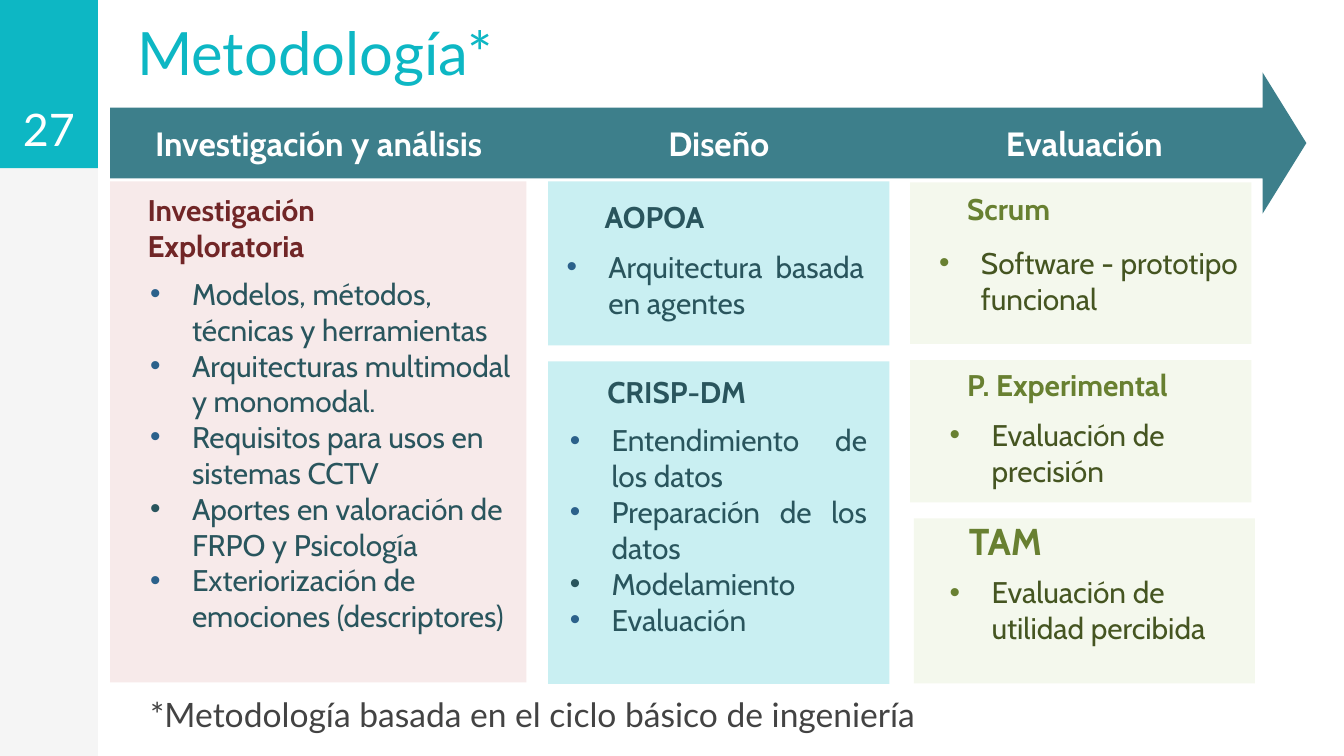
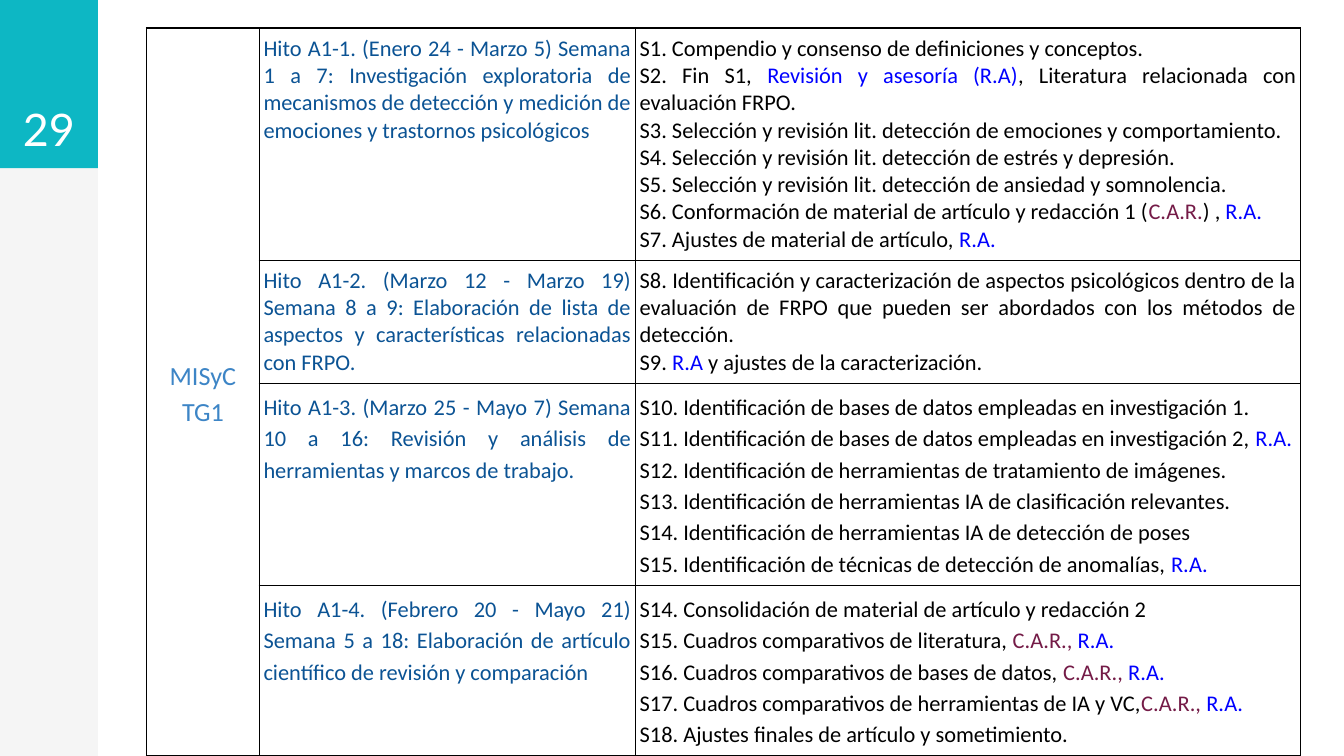
from dataclasses import dataclass

from lxml.etree import SubElement
from pptx import Presentation
from pptx.dml.color import RGBColor
from pptx.enum.shapes import MSO_SHAPE as Preset
from pptx.enum.text import MSO_ANCHOR as Anchor, MSO_AUTO_SIZE as AutoSize, PP_ALIGN as Align
from pptx.oxml.ns import qn
from pptx.util import Cm, Pt


@dataclass(frozen=True)
class Theme:
    """Colours, fonts and type sizes of the presentation."""
    teal: str = "0DB7C4"
    arrow: str = "3D7F8B"
    white: str = "FFFFFF"
    black: str = "000000"
    note: str = "434343"
    group: str = "3D85C6"
    milestone: str = "0B5394"
    review: str = "0000FF"
    author: str = "741B47"
    title_font: str = "Lato"
    card_font: str = "Cabin"
    table_font: str = "Calibri"
    title_size: int = 32
    number_size: int = 24
    tam_size: int = 20
    stage_size: int = 18
    card_size: int = 16
    group_size: int = 14
    table_size: int = 12
    tint: int = 22
    side_tint: int = 4


@dataclass(frozen=True)
class Palette:
    """Colours of one stage of the method."""
    fill: str
    heading: str
    body: str
    bullet: str


THEME = Theme()
RESEARCH = Palette("DFA2A2", "712627", "29555D", "2B618B")
DESIGN = Palette(THEME.teal, "29555D", "29555D", "2B618B")
EVALUATION = Palette("D1E0AF", "688031", "455521", "688031")

REVIEW = ("R.A.", THEME.review)
AUTHOR = ("C.A.R., ", THEME.author)

MILESTONES = [
    (4.38, 1, "Hito A1-1. (Enero 24 - Marzo 5) Semana 1 a 7: Investigación exploratoria de "
     "mecanismos de detección y medición de emociones y trastornos psicológicos", [
         "S1. Compendio y consenso de definiciones y conceptos.",
         ["S2. Fin S1, ", ("Revisión y asesoría (R.A)", THEME.review),
          ", Literatura relacionada con evaluación FRPO."],
         "S3. Selección y revisión lit. detección de emociones y comportamiento.",
         "S4. Selección y revisión lit. detección de estrés y depresión.",
         "S5. Selección y revisión lit. detección de ansiedad y somnolencia.",
         ["S6. Conformación de material de artículo y redacción 1 (",
          ("C.A.R.", THEME.author), ") , ", REVIEW],
         ["S7. Ajustes de material de artículo, ", REVIEW]]),
    (2.32, 1, "Hito A1-2. (Marzo 12 - Marzo 19) Semana 8 a 9: Elaboración de lista de "
     "aspectos y características relacionadas con FRPO.", [
         "S8. Identificación y caracterización de aspectos psicológicos dentro de la "
         "evaluación de FRPO que pueden ser abordados con los métodos de detección.",
         ["S9.", (" R.A", THEME.review), " y ajustes de la caracterización."]]),
    (3.81, 1.15, "Hito A1-3. (Marzo 25 - Mayo 7) Semana 10 a 16: Revisión y análisis de "
     "herramientas y marcos de trabajo.", [
         "S10. Identificación de bases de datos empleadas en investigación 1.",
         ["S11. Identificación de bases de datos empleadas en investigación 2, ", REVIEW],
         "S12. Identificación de herramientas de tratamiento de imágenes.",
         "S13. Identificación de herramientas IA de clasificación relevantes.",
         "S14. Identificación de herramientas IA de detección de poses",
         ["S15. Identificación de técnicas de detección de anomalías, ", REVIEW]]),
    (3.2, 1.15, "Hito A1-4. (Febrero 20 - Mayo 21) Semana 5 a 18: Elaboración de artículo "
     "científico de revisión y comparación", [
         "S14. Consolidación de material de artículo y redacción 2",
         ["S15. Cuadros comparativos de literatura, ", AUTHOR, REVIEW],
         ["S16. Cuadros comparativos de bases de datos, ", AUTHOR, REVIEW],
         ["S17. Cuadros comparativos de herramientas de IA y VC,", AUTHOR, REVIEW],
         "S18. Ajustes finales de artículo y sometimiento."]),
]


def add_bullet(paragraph, color):
    """Give a paragraph a hanging bullet of the given colour."""
    properties = paragraph._p.get_or_add_pPr()
    properties.set("marL", str(Cm(0.79)))
    properties.set("indent", str(-Cm(0.79)))
    bullet_color = SubElement(properties, qn("a:buClr"))
    SubElement(bullet_color, qn("a:srgbClr")).set("val", color)
    SubElement(properties, qn("a:buFont")).set("typeface", "Arial")
    SubElement(properties, qn("a:buChar")).set("char", "•")


def write_text(frame, lines, *, font, size, color, bold=False, align=Align.LEFT,
               spacing=None, bullets=None):
    """Fill a text frame with lines, each a string or a list of runs."""
    for index, line in enumerate(lines):
        paragraph = frame.paragraphs[0] if index == 0 else frame.add_paragraph()
        if bullets:
            add_bullet(paragraph, bullets[index])
        paragraph.alignment = align
        if spacing:
            paragraph.line_spacing = spacing
        for part in [line] if isinstance(line, str) else line:
            words, shade = (part, color) if isinstance(part, str) else part
            run = paragraph.add_run()
            run.text = words
            run.font.name = font
            run.font.size = Pt(size)
            run.font.bold = bold
            run.font.color.rgb = RGBColor.from_string(shade)


def set_frame(frame, anchor=Anchor.TOP, inset=0.25):
    """Wrap a text frame and set its anchor and vertical inset."""
    frame.word_wrap = True
    frame.auto_size = AutoSize.NONE
    frame.vertical_anchor = anchor
    frame.margin_left = frame.margin_right = Cm(0.25)
    frame.margin_top = frame.margin_bottom = Cm(inset)


def add_text(slide, box, lines, anchor=Anchor.TOP, inset=0.25, **style):
    """Add a text box measured in centimetres."""
    frame = slide.shapes.add_textbox(*map(Cm, box)).text_frame
    set_frame(frame, anchor, inset)
    write_text(frame, lines, **style)


def add_block(slide, box, color, preset=Preset.RECTANGLE, opacity=100):
    """Add a plain filled shape and return it."""
    block = slide.shapes.add_shape(preset, *map(Cm, box))
    block.shadow.inherit = False
    block.line.fill.background()
    block.fill.solid()
    block.fill.fore_color.rgb = RGBColor.from_string(color)
    if opacity < 100:
        shade = block.fill._xPr.find(".//" + qn("a:srgbClr"))
        SubElement(shade, qn("a:alpha")).set("val", str(opacity * 1000))
    return block


def add_side_band(slide, number):
    """Draw the left band with the page number."""
    number_box = (0, 0, 1.85, 3.18)
    add_block(slide, (0, 0, 1.85, 14.29), THEME.black, opacity=THEME.side_tint)
    add_block(slide, number_box, THEME.teal)
    add_text(slide, number_box, [number], Anchor.BOTTOM, font=THEME.title_font,
             size=THEME.number_size, color=THEME.white, align=Align.CENTER)


def add_title(slide, title):
    """Place and format the title placeholder."""
    heading = slide.shapes.title
    heading.left, heading.top, heading.width, heading.height = map(Cm, (2.34, 0.03, 9.86, 1.88))
    set_frame(heading.text_frame, Anchor.BOTTOM)
    write_text(heading.text_frame, [title], font=THEME.title_font,
               size=THEME.title_size, color=THEME.teal)


def add_card(slide, palette, box, heading, heading_at, items, items_at, *,
             heading_width=5.8, heading_size=THEME.card_size, dark_item=None,
             align=Align.LEFT):
    """Draw a tinted card with a heading and bulleted items."""
    add_block(slide, box, palette.fill, opacity=THEME.tint)
    add_text(slide, (*heading_at, heading_width, 1.2), [heading], font=THEME.card_font,
             size=heading_size, color=palette.heading, bold=True)
    left, top, width = items_at
    bullets = [palette.body if index == dark_item else palette.bullet
               for index in range(len(items))]
    add_text(slide, (left, top, width, box[1] + box[3] - top), items, inset=0.13,
             font=THEME.card_font, size=THEME.card_size, color=palette.body,
             align=align, bullets=bullets)


def add_stages(slide):
    """Draw the arrow with the names of the three stages."""
    arrow = add_block(slide, (2.08, 1.37, 22.61, 2.67), THEME.arrow, Preset.RIGHT_ARROW)
    arrow.adjustments[0], arrow.adjustments[1] = 0.5, 0.31
    stages = [("Investigación y análisis", 2.34, 7.37), ("Diseño", 10.36, 6.45),
              ("Evaluación", 17.27, 6.45)]
    for stage, left, width in stages:
        add_text(slide, (left, 2.08, width, 1.52), [stage], font=THEME.card_font,
                 size=THEME.stage_size, color=THEME.white, bold=True, align=Align.CENTER)


def add_borders(cell):
    """Draw thin black borders around a cell."""
    properties = cell._tc.get_or_add_tcPr()
    for side in ("lnL", "lnR", "lnT", "lnB"):
        border = SubElement(properties, qn("a:" + side))
        border.set("w", str(Pt(0.75)))
        fill = SubElement(border, qn("a:solidFill"))
        SubElement(fill, qn("a:srgbClr")).set("val", THEME.black)


def fill_cell(cell, lines, color, size=THEME.table_size, align=Align.JUSTIFY, spacing=None):
    """Write one cell of the schedule."""
    cell.margin_left = cell.margin_right = Cm(0.08)
    cell.margin_top = cell.margin_bottom = Cm(0.13)
    write_text(cell.text_frame, lines, font=THEME.table_font, size=size, color=color,
               align=align, spacing=spacing)


def add_schedule(slide):
    """Build the table of milestones and weeks."""
    columns = (2.13, 7.11, 12.57)
    heights = [milestone[0] for milestone in MILESTONES]
    schedule = slide.shapes.add_table(
        len(MILESTONES), len(columns), Cm(2.77), Cm(0.53),
        Cm(sum(columns)), Cm(sum(heights))).table
    schedule.first_row = schedule.horz_banding = False
    for column, width in zip(schedule.columns, columns):
        column.width = Cm(width)
    for cell in schedule.iter_cells():
        add_borders(cell)
        cell.fill.solid()
        cell.fill.fore_color.rgb = RGBColor.from_string(THEME.white)
    for index, (height, spacing, milestone, weeks) in enumerate(MILESTONES):
        schedule.rows[index].height = Cm(height)
        fill_cell(schedule.cell(index, 1), [milestone], THEME.milestone, spacing=spacing)
        fill_cell(schedule.cell(index, 2), weeks, THEME.black, spacing=spacing)
    group = schedule.cell(0, 0)
    group.merge(schedule.cell(len(MILESTONES) - 1, 0))
    group.fill.background()
    group.vertical_anchor = Anchor.MIDDLE
    fill_cell(group, ["MISyC TG1"], THEME.group, THEME.group_size, Align.CENTER, 1.15)


def build_method(slide):
    """Build the slide on the method."""
    add_side_band(slide, "27")
    add_title(slide, "Metodología*")
    add_stages(slide)
    add_card(slide, RESEARCH, (2.08, 3.43, 7.87, 9.47),
             "Investigación Exploratoria", (2.54, 3.38),
             ["Modelos, métodos, técnicas y herramientas",
              "Arquitecturas multimodal y monomodal.",
              "Requisitos para usos en sistemas CCTV",
              "Aportes en valoración de FRPO y Psicología",
              "Exteriorización de emociones (descriptores)"],
             (2.59, 5.08, 7.37), heading_width=6.4, dark_item=3)
    add_card(slide, DESIGN, (10.36, 3.43, 6.45, 3.1), "AOPOA", (11.18, 3.51),
             ["Arquitectura basada en agentes"], (10.46, 4.57, 6.12), align=Align.JUSTIFY)
    add_card(slide, DESIGN, (10.36, 6.83, 6.45, 6.1), "CRISP-DM", (11.23, 6.81),
             ["Entendimiento de los datos", "Preparación de los datos",
              "Modelamiento", "Evaluación"],
             (10.52, 7.85, 6.12), dark_item=2, align=Align.JUSTIFY)
    add_card(slide, EVALUATION, (17.2, 3.45, 6.45, 3.05), "Scrum", (18.03, 3.35),
             ["Software - prototipo funcional"], (17.5, 4.5, 6.3))
    add_card(slide, EVALUATION, (17.2, 6.81, 6.45, 2.69), "P. Experimental", (18.03, 6.68),
             ["Evaluación de precisión"], (17.7, 7.75, 6.3))
    add_card(slide, EVALUATION, (17.27, 9.8, 6.45, 3.12), "TAM", (18.06, 9.55),
             ["Evaluación de utilidad percibida"], (17.7, 10.72, 6.3),
             heading_size=THEME.tam_size)
    add_text(slide, (2.59, 13.06, 21.21, 1.07),
             ["*Metodología basada en el ciclo básico de ingeniería"], Anchor.BOTTOM,
             font=THEME.title_font, size=THEME.stage_size, color=THEME.note)


def build_schedule(slide):
    """Build the slide with the schedule."""
    add_side_band(slide, "29")
    add_schedule(slide)


def main():
    """Create and save the presentation."""
    deck = Presentation()
    deck.slide_width, deck.slide_height = Cm(25.4), Cm(14.29)
    title_only, blank = deck.slide_layouts[5], deck.slide_layouts[6]
    build_method(deck.slides.add_slide(title_only))
    build_schedule(deck.slides.add_slide(blank))
    deck.save("out.pptx")


if __name__ == "__main__":
    main()
